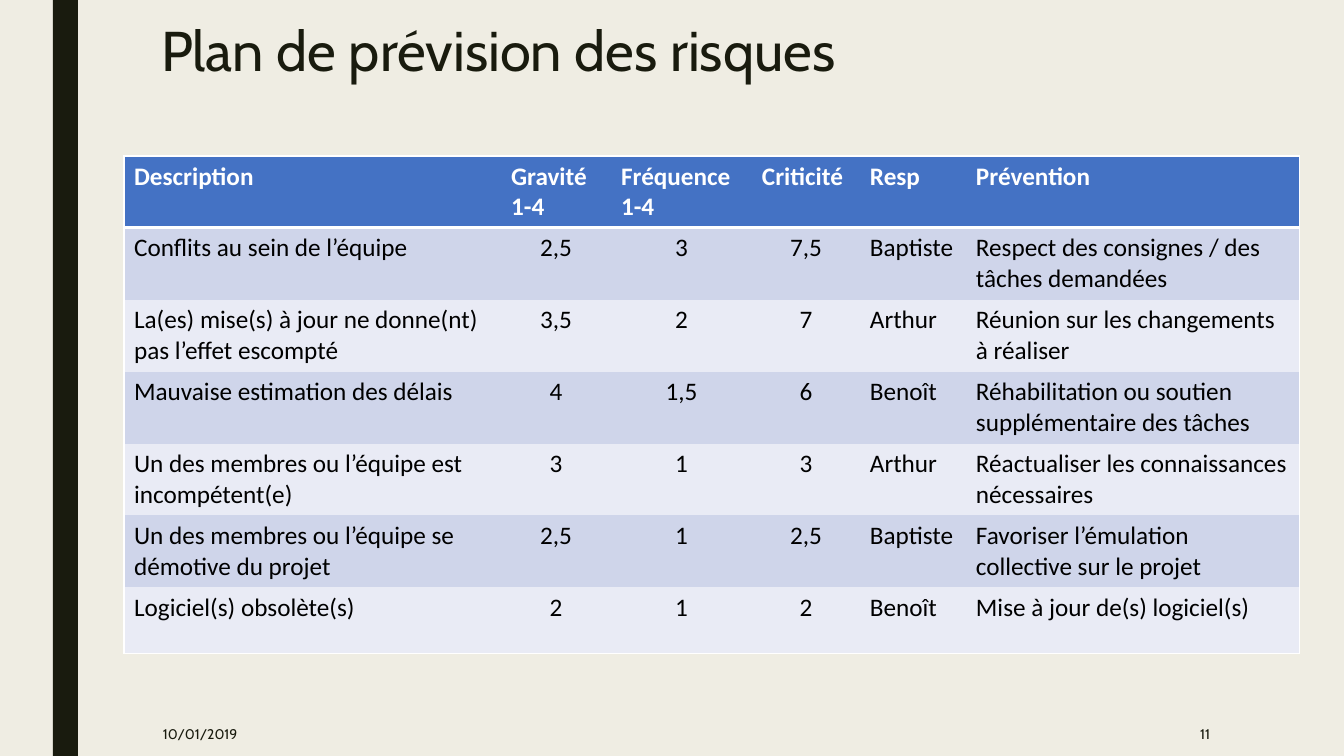
from dataclasses import dataclass

from lxml import etree
from pptx import Presentation
from pptx.dml.color import RGBColor
from pptx.enum.shapes import MSO_SHAPE
from pptx.enum.text import MSO_ANCHOR, PP_ALIGN
from pptx.oxml.ns import qn
from pptx.util import Emu, Pt

LEFT, CENTER, RIGHT = PP_ALIGN.LEFT, PP_ALIGN.CENTER, PP_ALIGN.RIGHT
TOP, MIDDLE = MSO_ANCHOR.TOP, MSO_ANCHOR.MIDDLE
RECTANGLE = MSO_SHAPE.RECTANGLE

EMU_PER_PIXEL = 914400 / 100.8
TITLE_ONLY_LAYOUT = 5
BACKGROUND, INK, WHITE, BLACK = "EFEDE3", "191B0E", "FFFFFF", "000000"
HEADER_FILL, BAND_FILLS = "4472C4", ("CFD5EA", "E9EBF5")
HEADING_FONT, TABLE_FONT = "Cabin", "Calibri"


@dataclass(frozen=True)
class Box:
    left: int
    top: int
    width: int
    height: int

    def emu(self) -> tuple[Emu, Emu, Emu, Emu]:
        return px(self.left), px(self.top), px(self.width), px(self.height)


@dataclass(frozen=True)
class Column:
    heading: str
    width: int
    alignment: PP_ALIGN = LEFT


@dataclass(frozen=True)
class Risk:
    description: str
    severity: str
    frequency: str
    criticality: str
    owner: str
    prevention: str

    def texts(self) -> list[str]:
        return [self.description, self.severity, self.frequency,
                self.criticality, self.owner, self.prevention]


@dataclass(frozen=True)
class FooterItem:
    text: str
    box: Box
    alignment: PP_ALIGN


COLUMNS = [
    Column("Description", 377),
    Column("Gravité 1-4", 110, CENTER),
    Column("Fréquence 1-4", 141, CENTER),
    Column("Criticité", 108, CENTER),
    Column("Resp", 106),
    Column("Prévention", 334),
]
RISKS = [
    Risk("Conflits au sein de l’équipe", "2,5", "3", "7,5", "Baptiste",
         "Respect des consignes / des tâches demandées"),
    Risk("La(es) mise(s) à jour ne donne(nt) pas l’effet escompté", "3,5", "2", "7", "Arthur",
         "Réunion sur les changements à réaliser"),
    Risk("Mauvaise estimation des délais", "4", "1,5", "6", "Benoît",
         "Réhabilitation ou soutien supplémentaire des tâches"),
    Risk("Un des membres ou l’équipe est incompétent(e)", "3", "1", "3", "Arthur",
         "Réactualiser les connaissances nécessaires"),
    Risk("Un des membres ou l’équipe se démotive du projet", "2,5", "1", "2,5", "Baptiste",
         "Favoriser l’émulation collective sur le projet"),
    Risk("Logiciel(s) obsolète(s)", "2", "1", "2", "Benoît", "Mise à jour de(s) logiciel(s)"),
]
ROW_HEIGHTS = [71, 72, 72, 72, 71, 72, 66]
FOOTER = [
    FooterItem("10/01/2019", Box(153, 712, 133, 44), LEFT),
    FooterItem("11", Box(1044, 712, 176, 44), RIGHT),
]


def px(pixels: int) -> Emu:
    return Emu(round(pixels * EMU_PER_PIXEL))


def color(value: str) -> RGBColor:
    return RGBColor.from_string(value)


def write(text_frame, text: str, font_name: str, size: int, ink: str,
          alignment: PP_ALIGN = LEFT, bold: bool = False):
    text_frame.text = text
    text_frame.word_wrap = True
    paragraph = text_frame.paragraphs[0]
    paragraph.alignment = alignment
    font = paragraph.runs[0].font
    font.name, font.size, font.bold = font_name, Pt(size), bold
    font.color.rgb = color(ink)
    return paragraph


def set_borders(cell, widths: dict[str, int]) -> None:
    """Draw white borders of the given point widths; zero hides a border."""
    properties = cell._tc.get_or_add_tcPr()
    for index, side in enumerate("LRTB"):
        line = etree.Element(qn(f"a:ln{side}"), w=str(Pt(widths[side])))
        if widths[side]:
            fill = etree.SubElement(line, qn("a:solidFill"))
            etree.SubElement(fill, qn("a:srgbClr"), val=WHITE)
        else:
            etree.SubElement(line, qn("a:noFill"))
        properties.insert(index, line)


def add_side_bar(slide, box: Box) -> None:
    bar = slide.shapes.add_shape(RECTANGLE, *box.emu())
    bar.shadow.inherit = False
    bar.fill.solid()
    bar.fill.fore_color.rgb = color(INK)
    bar.line.fill.background()


def set_title(slide, text: str, box: Box) -> None:
    title = slide.shapes.title
    title.left, title.top, title.width, title.height = box.emu()
    paragraph = write(title.text_frame, text, HEADING_FONT, 40, INK)
    paragraph.line_spacing = 0.89
    title.text_frame.vertical_anchor = TOP


def add_risk_table(slide, left: int, top: int) -> None:
    box = Box(left, top, sum(column.width for column in COLUMNS), sum(ROW_HEIGHTS))
    rows = [[column.heading for column in COLUMNS]] + [risk.texts() for risk in RISKS]
    table = slide.shapes.add_table(len(rows), len(COLUMNS), *box.emu()).table
    table.horz_banding = False
    for table_column, column in zip(table.columns, COLUMNS):
        table_column.width = px(column.width)
    for table_row, height in zip(table.rows, ROW_HEIGHTS):
        table_row.height = px(height)

    # Outer frame of 1 pt, and 3 pt below the header
    row_lines = [1, 3] + [0] * (len(rows) - 2) + [1]
    column_lines = [1] + [0] * (len(COLUMNS) - 1) + [1]
    for r, texts in enumerate(rows):
        header = r == 0
        for c, text in enumerate(texts):
            cell = table.cell(r, c)
            cell.fill.solid()
            cell.fill.fore_color.rgb = color(HEADER_FILL if header else BAND_FILLS[(r - 1) % 2])
            write(cell.text_frame, text, TABLE_FONT, 18, WHITE if header else BLACK,
                  LEFT if header else COLUMNS[c].alignment, header)
            set_borders(cell, {"L": column_lines[c], "R": column_lines[c + 1],
                               "T": row_lines[r], "B": row_lines[r + 1]})


def add_footer_item(slide, item: FooterItem) -> None:
    text_frame = slide.shapes.add_textbox(*item.box.emu()).text_frame
    write(text_frame, item.text, HEADING_FONT, 10, INK, item.alignment)
    text_frame.vertical_anchor = MIDDLE


# Slide and background
presentation = Presentation()
presentation.slide_width, presentation.slide_height = px(1344), px(756)
slide = presentation.slides.add_slide(presentation.slide_layouts[TITLE_ONLY_LAYOUT])
slide.background.fill.solid()
slide.background.fill.fore_color.rgb = color(BACKGROUND)

# Content
add_side_bar(slide, Box(53, 0, 25, 756))
set_title(slide, "Plan de prévision des risques", Box(151, 19, 1070, 75))
add_risk_table(slide, 124, 156)
for footer_item in FOOTER:
    add_footer_item(slide, footer_item)

presentation.save("out.pptx")
